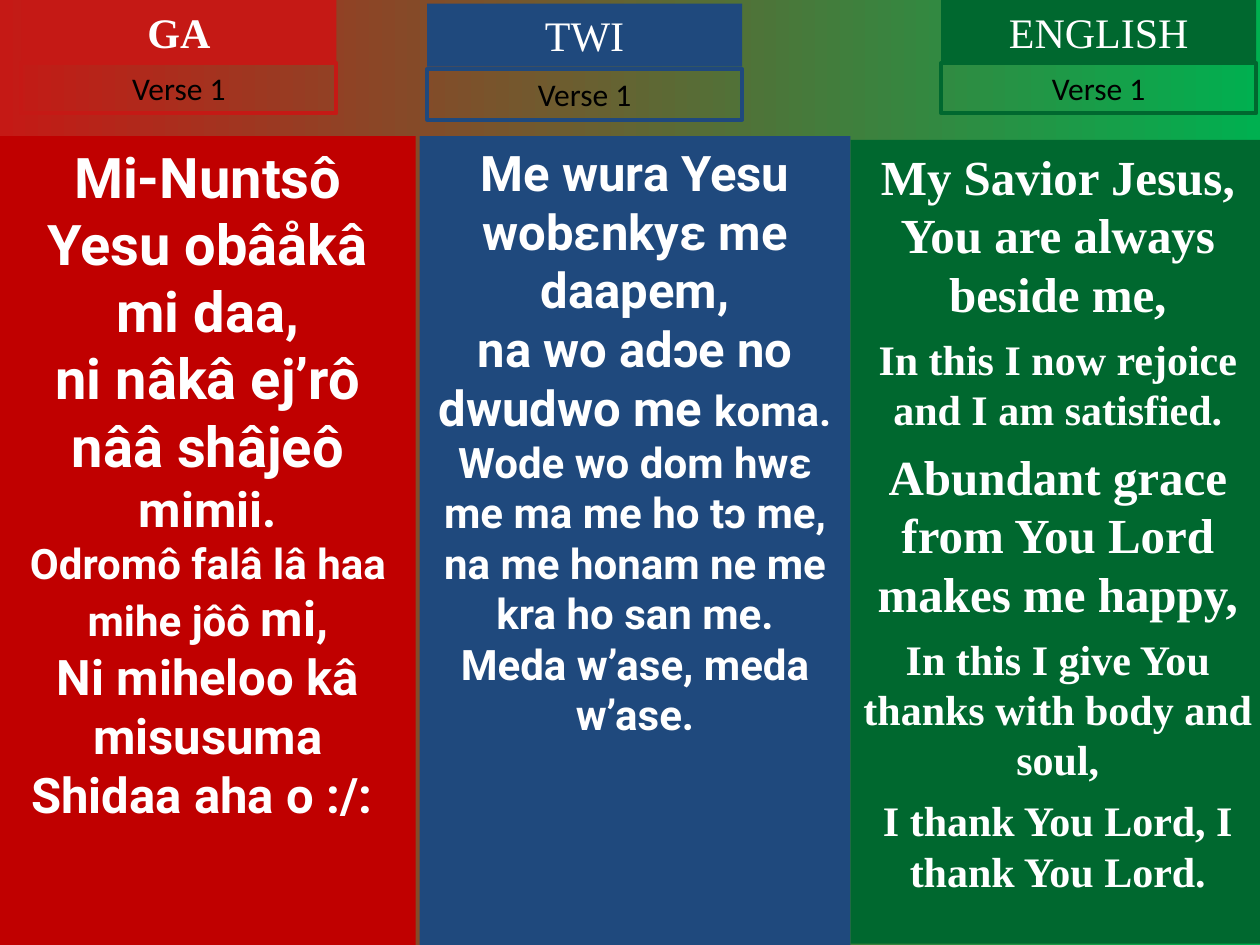
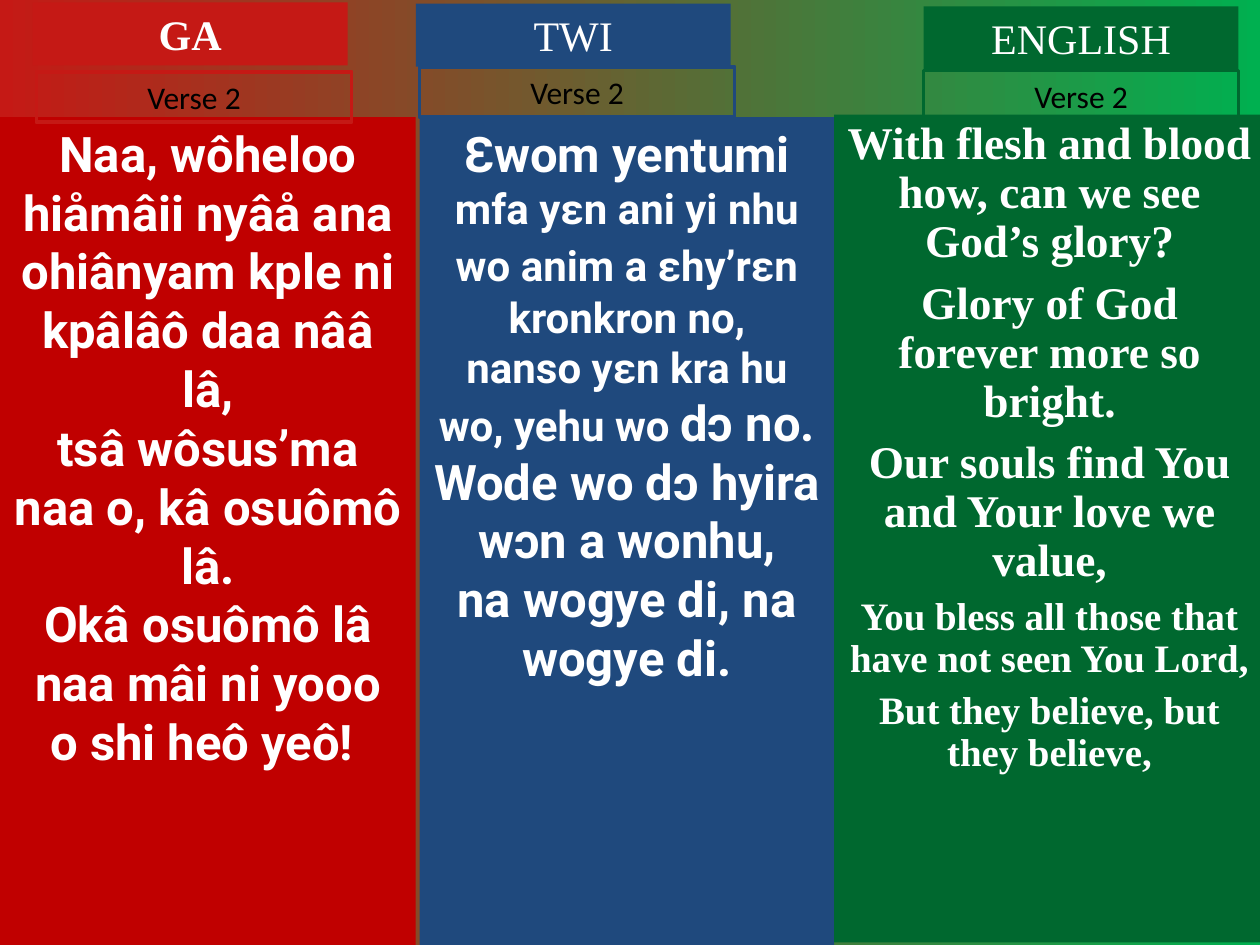
"""Builds two hymn slides with the verse in Ga, Twi and English side by side."""
from pptx import Presentation
from pptx.dml.color import RGBColor
from pptx.enum.shapes import MSO_SHAPE
from pptx.enum.text import MSO_ANCHOR, MSO_AUTO_SIZE, PP_ALIGN
from pptx.util import Emu, Pt

PX = 9144
RED = RGBColor(0xC5, 0x19, 0x15)
DEEP_RED = RGBColor(0xC0, 0x00, 0x00)
BLUE = RGBColor(0x1F, 0x49, 0x7D)
GREEN = RGBColor(0x00, 0x68, 0x2F)
BRIGHT_GREEN = RGBColor(0x00, 0xB0, 0x50)
WHITE = RGBColor(0xFF, 0xFF, 0xFF)
BLACK = RGBColor(0x00, 0x00, 0x00)
SERIF = "Times New Roman"
LABEL_WIDTH, HEADING_HEIGHT, VERSE_HEIGHT = 250, 50, 40

LANGUAGES = [
    ("GA", RED, DEEP_RED, "Roboto", True),
    ("TWI", BLUE, BLUE, "Roboto", False),
    ("ENGLISH", GREEN, GREEN, SERIF, False),
]

VERSES = [
    ("Verse 1", 1.0, [
        ((0, 108, 330, 642), (17, 0), (17, 50), [
            [("Mi-Nuntsô Yesu obâåkâ mi daa,", 32)],
            [("ni nâkâ ej’rô nââ shâjeô ", 32), ("mimii.", 28)],
            [("Odromô falâ lâ haa mihe jôô ", 24), ("mi,", 28)],
            [("Ni miheloo kâ misusuma", 28)],
            [("Shidaa aha o :/: ", 28)],
        ]),
        ((333, 108, 342, 642), (339, 3), (339, 55), [
            [("Me wura Yesu wobɛnkyɛ me daapem,", 28)],
            [("na wo adɔe no dwudwo me ", 28), ("koma.", 24)],
            [("Wode wo dom hwɛ me ma me ho tɔ me,", 24)],
            [("na me honam ne me kra ho san me.", 24)],
            [("Meda w’ase, meda w’ase.", 24)],
        ]),
        ((675, 111, 329, 638), (747, 0), (747, 50), [
            [("My Savior Jesus, You are always beside me,", 28)],
            [("In this I now rejoice and I am satisfied.", 24)],
            [("Abundant grace from You Lord makes me happy,", 28)],
            [("In this I give You thanks with body and soul,", 24)],
            [("I thank You Lord, I thank You Lord.", 24)],
        ]),
    ]),
    ("Verse 2", 0.9, [
        ((0, 93, 330, 657), (26, 2), (29, 57), [
            [("Naa, wôheloo hiåmâii nyâå ana", 28)],
            [("ohiânyam kple ni kpâlâô daa nââ lâ,", 28)],
            [("tsâ wôsus’ma naa o, kâ osuômô lâ.", 28)],
            [("Okâ osuômô lâ naa mâi ni yooo", 28)],
            [("o shi heô yeô! ", 28)],
        ]),
        ((333, 93, 329, 657), (330, 3), (333, 53), [
            [("Ɛwom yentumi ", 28), ("mfa yɛn ani yi nhu wo anim a ɛhy’rɛn", 24),
             (" ", 28), ("kronkron no,", 24)],
            [("nanso yɛn kra hu wo, yehu wo ", 24), ("dɔ no.", 28)],
            [("Wode wo dɔ hyira wɔn a wonhu,", 28)],
            [("na wogye di, na wogye di.", 28)],
        ]),
        ((662, 91, 342, 657), (733, 5), (733, 56), [
            [("With flesh and blood how, can we see God’s glory?", 25.9)],
            [("Glory of God forever more so bright.", 25.9)],
            [("Our souls find You and Your love we value,", 25.9)],
            [("You bless all those that have not seen You Lord,", 22.2)],
            [("But they believe, but they believe,", 22.2)],
        ]),
    ]),
]


def add_box(slide, bounds, fill=None, outline=None):
    box = slide.shapes.add_shape(MSO_SHAPE.RECTANGLE, *(Emu(side * PX) for side in bounds))
    box.shadow.inherit = False
    if fill is None:
        box.fill.background()
        box.line.color.rgb = outline
        box.line.width = Pt(2.25)
    else:
        box.fill.solid()
        box.fill.fore_color.rgb = fill
        box.line.fill.background()
    box.text_frame.word_wrap = True
    box.text_frame.vertical_anchor = MSO_ANCHOR.TOP
    return box.text_frame


def write_paragraph(paragraph, runs, font, color, bold):
    paragraph.alignment = PP_ALIGN.CENTER
    paragraph.font.name = font
    paragraph.font.bold = bold
    paragraph.font.color.rgb = color
    if len(runs) == 1:
        paragraph.font.size = Pt(runs[0][1])
    for text, size in runs:
        run = paragraph.add_run()
        run.text = text
        if len(runs) > 1:
            run.font.size = Pt(size)


prs = Presentation()
prs.slide_width = Emu(1000 * PX)
prs.slide_height = Emu(750 * PX)

for verse_name, english_spacing, columns in VERSES:
    slide = prs.slides.add_slide(prs.slide_layouts[6])
    backdrop = slide.background.fill
    backdrop.gradient()
    backdrop.gradient_angle = 0
    for stop, color in zip(backdrop.gradient_stops, (RED, BRIGHT_GREEN)):
        stop.color.rgb = color

    for language, column in zip(LANGUAGES, columns):
        name, accent, panel_color, lyric_font, bold_heading = language
        panel, heading_at, verse_at, lyrics = column

        lyric_frame = add_box(slide, panel, fill=panel_color)
        for index, runs in enumerate(lyrics):
            line = lyric_frame.add_paragraph() if index else lyric_frame.paragraphs[0]
            write_paragraph(line, runs, lyric_font, WHITE, True)
            if name == "ENGLISH":
                line.line_spacing = english_spacing
                if index:
                    line.space_before = Pt(7 if runs[0][1] > 25 else 6)

        heading = add_box(slide, (*heading_at, LABEL_WIDTH, HEADING_HEIGHT), fill=accent)
        heading.auto_size = MSO_AUTO_SIZE.SHAPE_TO_FIT_TEXT
        write_paragraph(heading.paragraphs[0], [(name, 24)], SERIF, WHITE, bold_heading)

        verse = add_box(slide, (*verse_at, LABEL_WIDTH, VERSE_HEIGHT), outline=accent)
        verse.auto_size = MSO_AUTO_SIZE.SHAPE_TO_FIT_TEXT
        write_paragraph(verse.paragraphs[0], [(verse_name, 18)], "Calibri", BLACK, False)

prs.save("out.pptx")
